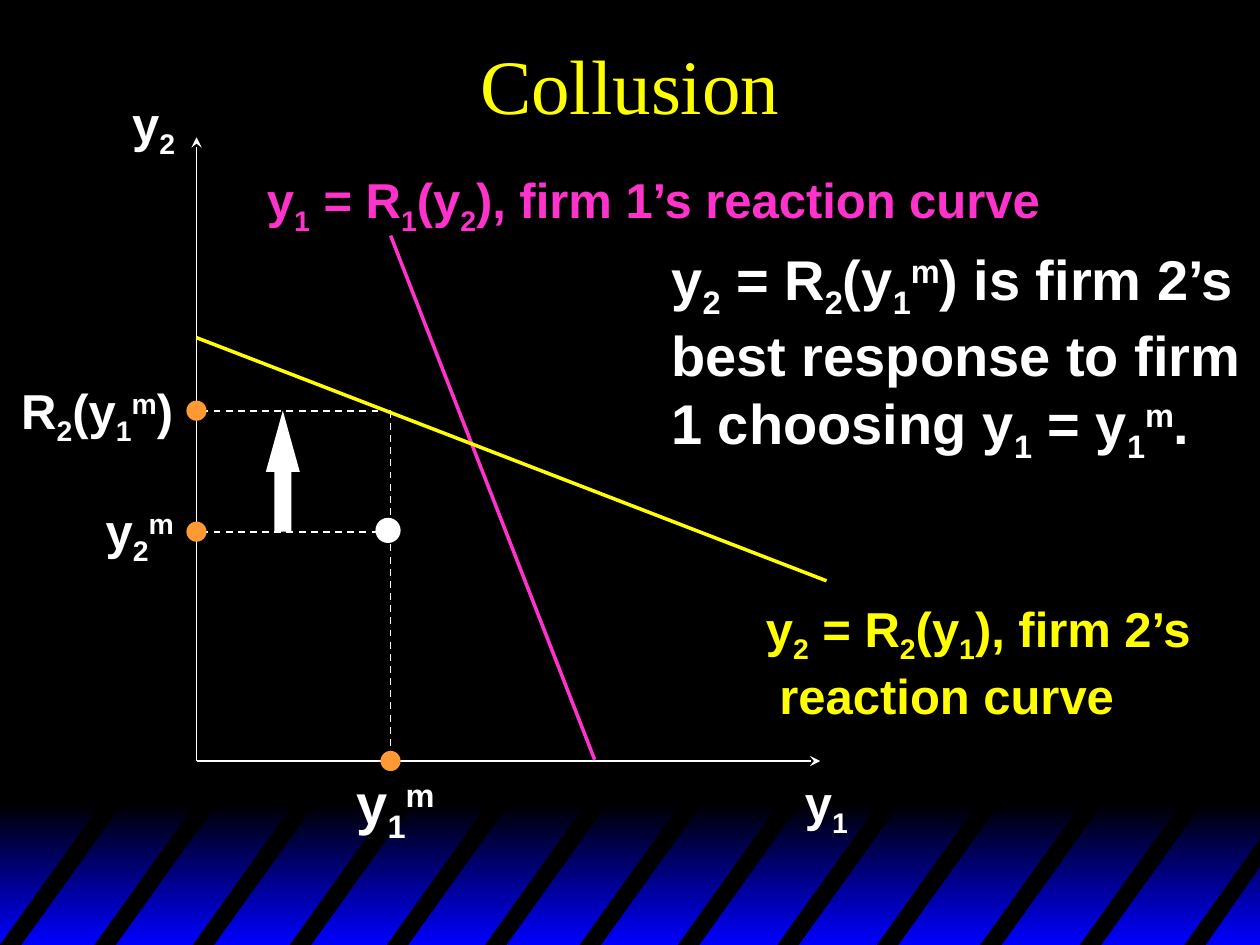
from dataclasses import dataclass

from lxml import etree
from pptx import Presentation
from pptx import util as u
from pptx.dml.color import RGBColor
from pptx.enum import dml, shapes, text
from pptx.oxml import ns


@dataclass(frozen=True)
class Theme:
    black: str = "000000"
    blue: str = "0000FF"
    white: str = "FFFFFF"
    yellow: str = "FFFF00"
    pink: str = "FF33CC"
    orange: str = "FF9933"
    serif: str = "Times New Roman"
    sans: str = "Arial"
    title: int = 44
    large: int = 32
    label: int = 28
    thin: int = 1
    thick: int = 2


SHIFT = {"_": "-25000", "^": "30000"}


def split(line):
    """Yield (words, shift) pairs; _ lowers and ^ raises the next character."""
    words, chars = "", iter(line)
    for char in chars:
        if char in SHIFT:
            if words:
                yield words, None
            yield next(chars), SHIFT[char]
            words = ""
        else:
            words += char
    if words:
        yield words, None


def write(frame, copy, font, size, color, bold=True, align=None):
    """Fill a text frame, one paragraph for each item of copy."""
    for i, item in enumerate(copy):
        para = frame.add_paragraph() if i else frame.paragraphs[0]
        para.alignment = align
        for j, line in enumerate(item.split("\n")):
            if j:
                para.add_line_break()
            for words, shift in split(line):
                run = para.add_run()
                run.text = words
                run.font.name = font
                run.font.size = u.Pt(size)
                run.font.bold = bold
                run.font.color.rgb = RGBColor.from_string(color)
                if shift:
                    run.font._element.set("baseline", shift)


class Board:
    """Hold the theme and the slide being drawn."""

    def __init__(self, slide, theme):
        self.slide, self.theme = slide, theme
        self.items = slide.shapes
        self.paint(slide.background.fill, theme.black)

    def paint(self, fill, color):
        fill.solid()
        fill.fore_color.rgb = RGBColor.from_string(color)

    def shape(self, kind, x, y, w, h, color):
        item = self.items.add_shape(kind, *map(u.Inches, (x, y, w, h)))
        item.shadow.inherit = False
        item.line.fill.background()
        self.paint(item.fill, color)
        return item

    def band(self, x, y, w, h):
        fill = self.shape(shapes.MSO_SHAPE.RECTANGLE, x, y, w, h, self.theme.black).fill
        fill.gradient()
        fill.gradient_angle = 270
        for stop, pos, color in zip(fill.gradient_stops, (0, 1), (self.theme.black, self.theme.blue)):
            stop.position = pos
            stop.color.rgb = RGBColor.from_string(color)

    def stripe(self, points):
        first, *rest = [(u.Inches(x), u.Inches(y)) for x, y in points]
        path = self.items.build_freeform(*first)
        path.add_line_segments(rest, close=True)
        item = path.convert_to_shape()
        item.shadow.inherit = False
        item.line.fill.background()
        self.paint(item.fill, self.theme.black)

    def dot(self, x, y, size, color):
        self.shape(shapes.MSO_SHAPE.OVAL, x - size / 2, y - size / 2, size, size, color)

    def arrow(self, x, y, w, h):
        item = self.shape(shapes.MSO_SHAPE.UP_ARROW, x, y, w, h, self.theme.white)
        item.adjustments[0], item.adjustments[1] = 0.5, 1.8

    def line(self, start, end, color, width, dash=False, head=False):
        item = self.items.add_connector(shapes.MSO_CONNECTOR.STRAIGHT, *map(u.Inches, start + end))
        item.line.color.rgb = RGBColor.from_string(color)
        item.line.width = u.Pt(width)
        if dash:
            item.line.dash_style = dml.MSO_LINE.DASH
        props = item._element.spPr
        if head:
            etree.SubElement(props.find(ns.qn("a:ln")), ns.qn("a:headEnd"), type="stealth")
        etree.SubElement(props, ns.qn("a:effectLst"))

    def title(self, copy, x, y, w, h):
        frame = self.items.add_textbox(*map(u.Inches, (x, y, w, h))).text_frame
        frame.word_wrap = True
        frame.vertical_anchor = text.MSO_ANCHOR.MIDDLE
        write(frame, [copy], self.theme.serif, self.theme.title, self.theme.yellow,
              bold=False, align=text.PP_ALIGN.CENTER)

    def label(self, copy, x, y, w, h, color=None, size=None):
        frame = self.items.add_textbox(*map(u.Inches, (x, y, w, h))).text_frame
        frame.word_wrap = False
        frame.auto_size = text.MSO_AUTO_SIZE.SHAPE_TO_FIT_TEXT
        write(frame, copy, self.theme.sans, size or self.theme.label, color or self.theme.white)


def main():
    deck = Presentation()
    deck.slide_width, deck.slide_height = u.Inches(10), u.Inches(7.5)
    look = Theme()
    board = Board(deck.slides.add_slide(deck.slide_layouts[6]), look)

    board.band(0, 6.38, 10, 1.12)
    top, base, lean, wide = 6.34, 7.5, 0.83, 0.17
    for x in (0, 0.75, 1.53, 2.3, 3.07, 3.85, 4.6, 5.38, 6.17, 6.96, 7.78, 8.57):
        board.stripe([(x, base), (x + lean, top), (x + lean + wide, top), (x + wide, base)])
    board.stripe([(9.4, base), (10, 6.66), (10, 6.88), (9.57, base)])

    board.title("Collusion", 0, 0, 10, 1.33)

    left, floor = 1.56, 6.04
    mid, low, high = 3.1, 4.22, 3.26
    for tip in ((left, 1.09), (6.51, floor)):
        board.line(tip, (left, floor), look.white, look.thin, head=True)
    for start, end in (((mid, high), (mid, floor)),
                       ((mid, low), (left, low)),
                       ((mid, high), (left, high))):
        board.line(start, end, look.white, look.thin, dash=True)
    board.line((4.72, 6.03), (mid, 1.87), look.pink, look.thick)
    board.line((left, 2.68), (6.56, 4.61), look.yellow, look.thick)
    for x, y in ((mid, floor), (left, low), (left, high)):
        board.dot(x, y, 0.16, look.orange)
    board.dot(3.08, 4.21, 0.2, look.white)
    board.arrow(2.11, high, 0.27, low - high)

    board.label(["y_2"], 0.95, 0.69, 0.54, 0.63)
    board.label(["y_1"], 6.29, 6.08, 0.54, 0.63)
    board.label(["y_2^m"], 0.74, 3.92, 0.74, 0.63)
    board.label(["R_2(y_1^m)"], 0.07, 2.97, 1.41, 0.63)
    board.label(["y_1^m"], 2.73, 6.05, 0.82, 0.71, size=look.large)
    board.label(["y_2 = R_2(y_1^m) is firm 2’s\nbest response to firm", "1 choosing y_1 = y_1^m."],
                5.23, 1.89, 4.73, 1.85, size=look.large)
    board.label(["y_1 = R_1(y_2), firm 1’s reaction curve"], 2.02, 1.3, 6.35, 0.63, look.pink)
    board.label(["y_2 = R_2(y_1), firm 2’s\n reaction curve"], 5.98, 4.7, 3.59, 1.1, look.yellow)

    deck.save("out.pptx")


if __name__ == "__main__":
    main()
